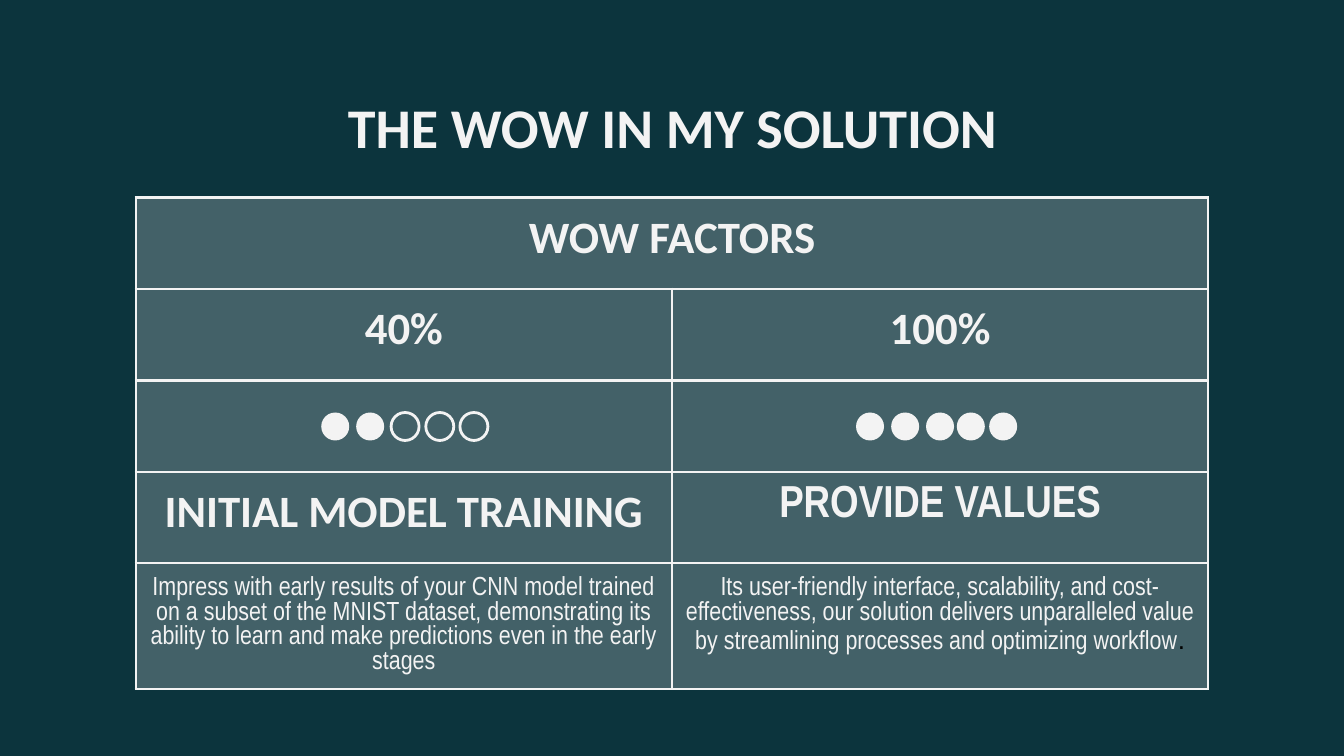
from pptx import Presentation
from pptx.dml.color import RGBColor
from pptx.enum.shapes import MSO_SHAPE
from pptx.enum.text import MSO_ANCHOR, PP_ALIGN
from pptx.oxml import parse_xml
from pptx.oxml.ns import nsdecls
from pptx.oxml.xmlchemy import OxmlElement
from pptx.util import Pt

BG, LIGHT, BLACK = "0C343D", "F3F3F3", "000000"
INSET = 7.2
ROW_H, LAST_ROW_H = 49, 67

# One entry per column: percentage, filled dots, dot offsets, heading and its font, text
FACTORS = [
    ("40%", 2, (99.4, 118.1, 136.8, 155.4, 173.7),
     "INITIAL MODEL TRAINING", "Calibri",
     ["Impress with early results of your CNN model trained on a subset of the MNIST "
      "dataset, demonstrating its ability to learn and make predictions even in the "
      "early stages"]),
    ("100%", 5, (98.6, 117.4, 136.1, 152.6, 169.9),
     "PROVIDE VALUES", "Arial Narrow",
     ["Its user-friendly interface, scalability, and cost-effectiveness, our solution "
      "delivers unparalleled value by streamlining processes and optimizing workflow",
      "."]),
]


def color(hex_value):
    return RGBColor.from_string(hex_value)


def style_paragraph(p, size, font, bold):
    p.alignment = PP_ALIGN.CENTER
    p.font.size = Pt(size)
    p.font.name = font
    p.font.bold = bold
    p.font.color.rgb = color(LIGHT)


def set_insets(frame):
    frame.margin_left = frame.margin_right = Pt(INSET)
    frame.margin_top = frame.margin_bottom = Pt(INSET)


def style_cell(cell):
    """Give a cell light borders and a translucent fill."""
    set_insets(cell)
    cell.vertical_anchor = MSO_ANCHOR.TOP
    tc_pr = cell._tc.get_or_add_tcPr()
    for side in ("lnL", "lnR", "lnT", "lnB"):
        tc_pr.append(parse_xml(
            f'<a:{side} {nsdecls("a")} w="{Pt(1.5)}"><a:solidFill>'
            f'<a:srgbClr val="{LIGHT}"/></a:solidFill></a:{side}>'))
    cell.fill.solid()
    cell.fill.fore_color.rgb = color(LIGHT)
    alpha = OxmlElement("a:alpha")
    alpha.set("val", "24000")
    tc_pr.find(".//{*}srgbClr[last()]")
    fill = tc_pr.findall("{*}solidFill")[0]
    fill[0].append(alpha)


def write_cell(cell, runs, size, font="Calibri", bold=True):
    p = cell.text_frame.paragraphs[0]
    for text in runs:
        p.add_run().text = text
    style_paragraph(p, size, font, bold)
    return p


def add_title(slide, left, top, width, height):
    sp = slide.shapes.title
    sp.left, sp.top, sp.width, sp.height = Pt(left), Pt(top), Pt(width), Pt(height)
    tf = sp.text_frame
    tf.text = "THE WOW IN MY SOLUTION"
    tf.word_wrap = True
    tf.vertical_anchor = MSO_ANCHOR.TOP
    set_insets(tf)
    style_paragraph(tf.paragraphs[0], 30, "Calibri", True)


def add_rating(slide, left, top, offsets, filled, size=15):
    """Draw a row of dots, the first ones filled and the rest outlined."""
    for i, offset in enumerate(offsets):
        dot = slide.shapes.add_shape(
            MSO_SHAPE.OVAL, Pt(left + offset), Pt(top), Pt(size), Pt(size))
        dot.shadow.inherit = False
        if i < filled:
            dot.fill.solid()
            dot.fill.fore_color.rgb = color(LIGHT)
            dot.line.fill.background()
        else:
            dot.fill.background()
            dot.line.color.rgb = color(LIGHT)
            dot.line.width = Pt(1.5)


def add_factor_table(slide, left, top, width):
    heights = [ROW_H] * 4 + [LAST_ROW_H]
    col_w = width / len(FACTORS)
    table = slide.shapes.add_table(
        len(heights), len(FACTORS), Pt(left), Pt(top), Pt(width), Pt(sum(heights))).table
    table.first_row = table.horz_banding = False
    for row, height in zip(table.rows, heights):
        row.height = Pt(height)
    for cell in table.iter_cells():
        style_cell(cell)

    # Header across both columns
    table.cell(0, 0).merge(table.cell(0, len(FACTORS) - 1))
    write_cell(table.cell(0, 0), ["WOW FACTORS"], 24)

    # One column per factor
    for c, (percent, filled, offsets, heading, font, runs) in enumerate(FACTORS):
        write_cell(table.cell(1, c), [percent], 24)
        add_rating(slide, left + c * col_w, top + 2 * ROW_H + 17.2, offsets, filled)
        write_cell(table.cell(3, c), [heading], 24, font)
        p = write_cell(table.cell(4, c), runs, 14, "Arial Narrow", False)
        for r in p.runs[1:]:
            r.font.name = "Arial"
            r.font.color.rgb = color(BLACK)


def main():
    prs = Presentation()
    prs.slide_width, prs.slide_height = Pt(720), Pt(405)
    slide = prs.slides.add_slide(prs.slide_layouts[5])
    slide.background.fill.solid()
    slide.background.fill.fore_color.rgb = color(BG)
    add_title(slide, 56.9, 42.5, 607, 45.4)
    add_factor_table(slide, 72.7, 105.8, 574.6)
    prs.save("out.pptx")


if __name__ == "__main__":
    main()
